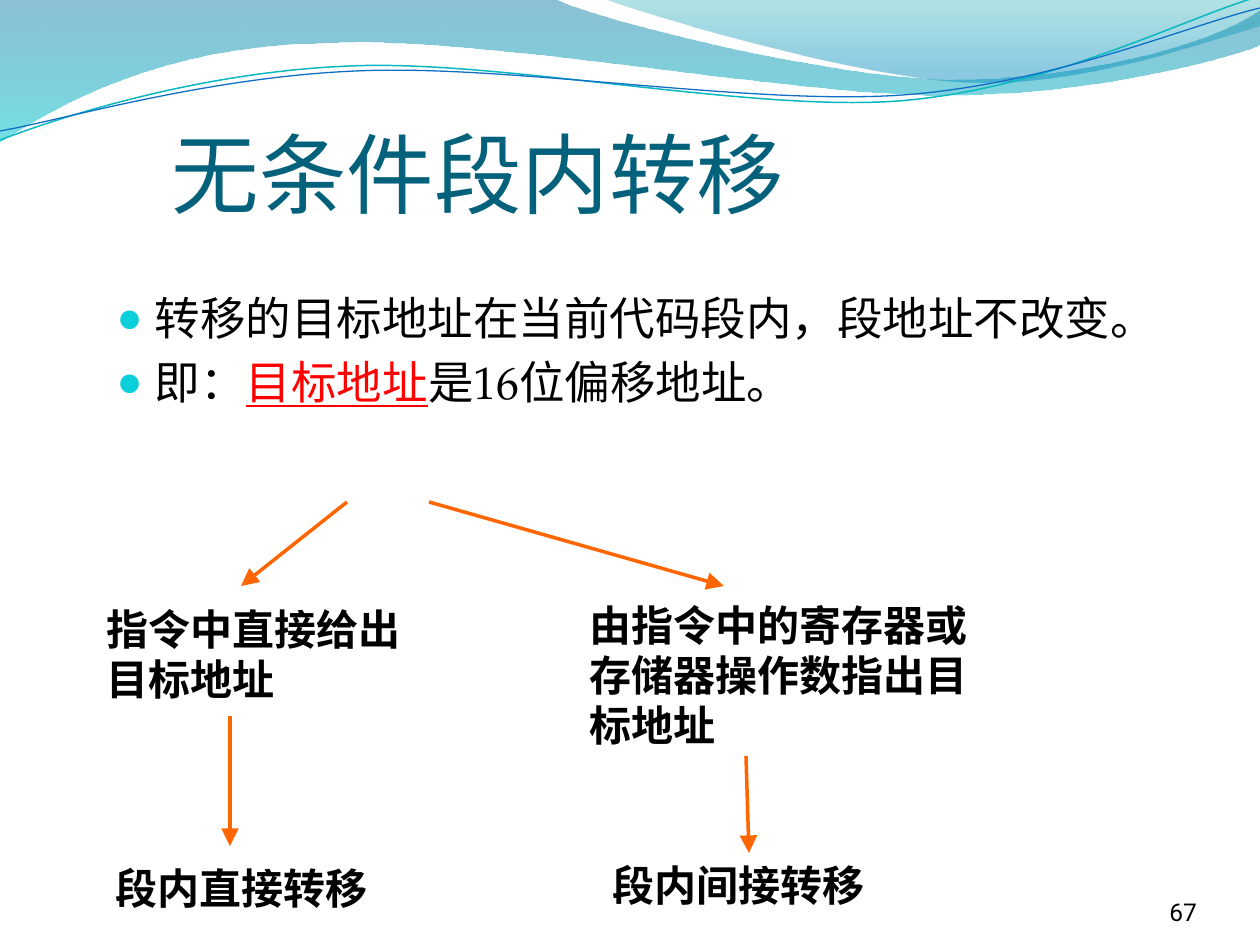
from lxml.etree import SubElement
from pptx import Presentation
from pptx.dml.color import RGBColor
from pptx.enum.shapes import MSO_CONNECTOR
from pptx.enum.text import MSO_ANCHOR, MSO_AUTO_SIZE, PP_ALIGN
from pptx.oxml.ns import qn
from pptx.util import Emu, Pt

PX_PER_INCH = 126
BLACK, RED, ORANGE = "000000", "FF0000", "FF6600"
TITLE_COLOR, BULLET_COLOR = "04617B", "0BD0D9"
BODY_FONT, LABEL_FONT, PLAIN_FONT = "TeX Gyre Pagella", "Times New Roman", "Roboto"

# Waves: a start point, then lines (one point) and Bezier curves (three points)
BAND_LEFT = [[(0, 0)], [(554, -1)], [(600, 21), (837, 79), (955, 79)],
             [(1075, 79), (1207, 47), (1260, 11)], [(1261, 45)],
             [(1239, 55), (1096, 96), (940, 95)], [(784, 95), (481, 35), (324, 43)],
             [(163, 45), (58, 105), (-1, 142)], [(0, 0)]]
BAND_RIGHT = [[(604, -1)], [(641, 14), (859, 78), (969, 82)],
              [(1079, 87), (1211, 40), (1260, 26)], [(1260, 0)], [(604, -1)]]
LINE_TEAL = [[(0, 140)], [(60, 117), (199, 72), (349, 66)],
             [(498, 59), (747, 112), (898, 101)], [(1050, 89), (1182, 19), (1257, -3)]]
LINE_BLUE = [[(0, 131)], [(59, 121), (207, 77), (357, 71)],
             [(508, 64), (752, 106), (903, 95)], [(1053, 84), (1186, 26), (1260, 8)]]


def px(value):
    return Emu(round(value * 914400 / PX_PER_INCH))


def color(hex_string):
    return RGBColor.from_string(hex_string)


def place(shape, left, top, width, height):
    shape.left, shape.top, shape.width, shape.height = map(px, (left, top, width, height))


def add_run(paragraph, text, font=BODY_FONT, size=26, fill=BLACK, bold=False, underline=False):
    run = paragraph.add_run()
    run.text = text
    run.font.name, run.font.size = font, Pt(size)
    run.font.bold, run.font.underline = bold, underline
    run.font.color.rgb = color(fill)


def set_bullet(paragraph):
    properties = paragraph._p.get_or_add_pPr()
    properties.set("marL", str(px(38)))
    properties.set("indent", str(-px(38)))
    bullet_color = SubElement(properties, qn("a:buClr"))
    SubElement(bullet_color, qn("a:srgbClr"), val=BULLET_COLOR)
    SubElement(properties, qn("a:buSzPct"), val="95000")
    SubElement(properties, qn("a:buChar"), char="●")


def bend_segments(shape, segments):
    """Join each three straight steps of a curve into one Bezier element."""
    outline = shape._element.find(".//" + qn("a:path"))
    steps = iter(outline.findall(qn("a:lnTo")))
    for segment in segments[1:]:
        first, *others = [next(steps) for _ in segment]
        if others:
            first.tag = qn("a:cubicBezTo")
            for step in others:
                first.append(step[0])
                outline.remove(step)


def add_wave(slide, segments, close):
    points = [(px(x), px(y)) for segment in segments for x, y in segment]
    builder = slide.shapes.build_freeform(*points[0])
    builder.add_line_segments(points[1:], close=close)
    shape = builder.convert_to_shape()
    bend_segments(shape, segments)
    shape.shadow.inherit = False
    return shape


def add_band(slide, segments, stops):
    shape = add_wave(slide, segments, close=True)
    shape.line.fill.background()
    shape.fill.gradient()
    shape.fill.gradient_angle = 270
    for stop, (position, hex_string, opacity) in zip(shape.fill.gradient_stops, stops):
        stop.position = position
        stop.color.rgb = color(hex_string)
        rgb_element = stop._gs.find(qn("a:srgbClr"))
        SubElement(rgb_element, qn("a:alpha"), val=str(opacity * 1000))


def add_wave_line(slide, segments, hex_string, width):
    shape = add_wave(slide, segments, close=False)
    shape.fill.background()
    shape.line.color.rgb = color(hex_string)
    shape.line.width = Pt(width)


def add_label(slide, box, *runs):
    """Add a bold label; each run is a pair of text and font."""
    shape = slide.shapes.add_textbox(*map(px, box))
    shape.text_frame.word_wrap = True
    shape.text_frame.auto_size = MSO_AUTO_SIZE.SHAPE_TO_FIT_TEXT
    for text, font in runs:
        add_run(shape.text_frame.paragraphs[0], text, font=font, size=24, bold=True)


def add_arrow(slide, start, end):
    connector = slide.shapes.add_connector(MSO_CONNECTOR.STRAIGHT, *map(px, start + end))
    connector.line.color.rgb = color(ORANGE)
    connector.line.width = Pt(2)
    SubElement(connector.line._get_or_add_ln(), qn("a:tailEnd"), type="triangle", w="lg", len="lg")
    SubElement(connector._element.spPr, qn("a:effectLst"))


def fill_title(title):
    place(title, 159, 84, 1073, 147)
    title.text_frame.vertical_anchor = MSO_ANCHOR.BOTTOM
    paragraph = title.text_frame.paragraphs[0]
    paragraph.alignment = PP_ALIGN.LEFT
    add_run(paragraph, "无条件段内转移", font="Calibri", size=50, fill=TITLE_COLOR)


def fill_body(body):
    place(body, 104, 284, 1131, 198)
    first = body.text_frame.paragraphs[0]
    second = body.text_frame.add_paragraph()
    first.space_before, second.space_before = Pt(0), Pt(5.2)
    for paragraph in (first, second):
        set_bullet(paragraph)
    add_run(first, "转移的目标地址在当前代码段内，段地址不改变。")
    add_run(second, "即：")
    add_run(second, "目标地址", fill=RED, underline=True)
    add_run(second, "是16位偏移地址。")


def add_slide_number(slide):
    frame = slide.shapes.add_textbox(*map(px, (1092, 876, 105, 50))).text_frame
    frame.margin_left = frame.margin_right = frame.margin_top = frame.margin_bottom = 0
    frame.word_wrap = True
    frame.vertical_anchor = MSO_ANCHOR.BOTTOM
    frame.paragraphs[0].alignment = PP_ALIGN.RIGHT
    add_run(frame.paragraphs[0], "67", font=PLAIN_FONT, size=14)


def main():
    presentation = Presentation()
    presentation.slide_width, presentation.slide_height = px(1260), px(945)
    slide = presentation.slides.add_slide(presentation.slide_layouts[1])

    # Wave decoration
    add_band(slide, BAND_LEFT, [(0, "0074A1", 45), (1, "00C6CF", 55)])
    add_band(slide, BAND_RIGHT, [(0, "00A1A9", 30), (0.8, "008BBF", 45)])
    add_wave_line(slide, LINE_TEAL, "0AB8BF", 0.85)
    add_wave_line(slide, LINE_BLUE, "0F6FC6", 0.75)

    # Title, list and slide number
    fill_title(slide.shapes.title)
    fill_body(slide.placeholders[1])
    add_slide_number(slide)

    # Two ways of giving the target address, and the jump each one makes
    add_label(slide, (94, 597, 325, 113), ("指令中直接给出目标地址", LABEL_FONT))
    add_label(slide, (577, 593, 431, 164), ("由指令中的寄存器或存储器操作数指出目标地址", LABEL_FONT))
    add_label(slide, (103, 856, 325, 63), ("段内直接转移", LABEL_FONT))
    add_label(slide, (600, 853, 325, 63), ("段内间接", LABEL_FONT), ("转移", PLAIN_FONT))

    # Arrows
    add_arrow(slide, (347, 502), (241, 586))
    add_arrow(slide, (429, 502), (724, 586))
    add_arrow(slide, (230, 716), (230, 846))
    add_arrow(slide, (746, 756), (749, 853))

    presentation.save("out.pptx")


if __name__ == "__main__":
    main()
